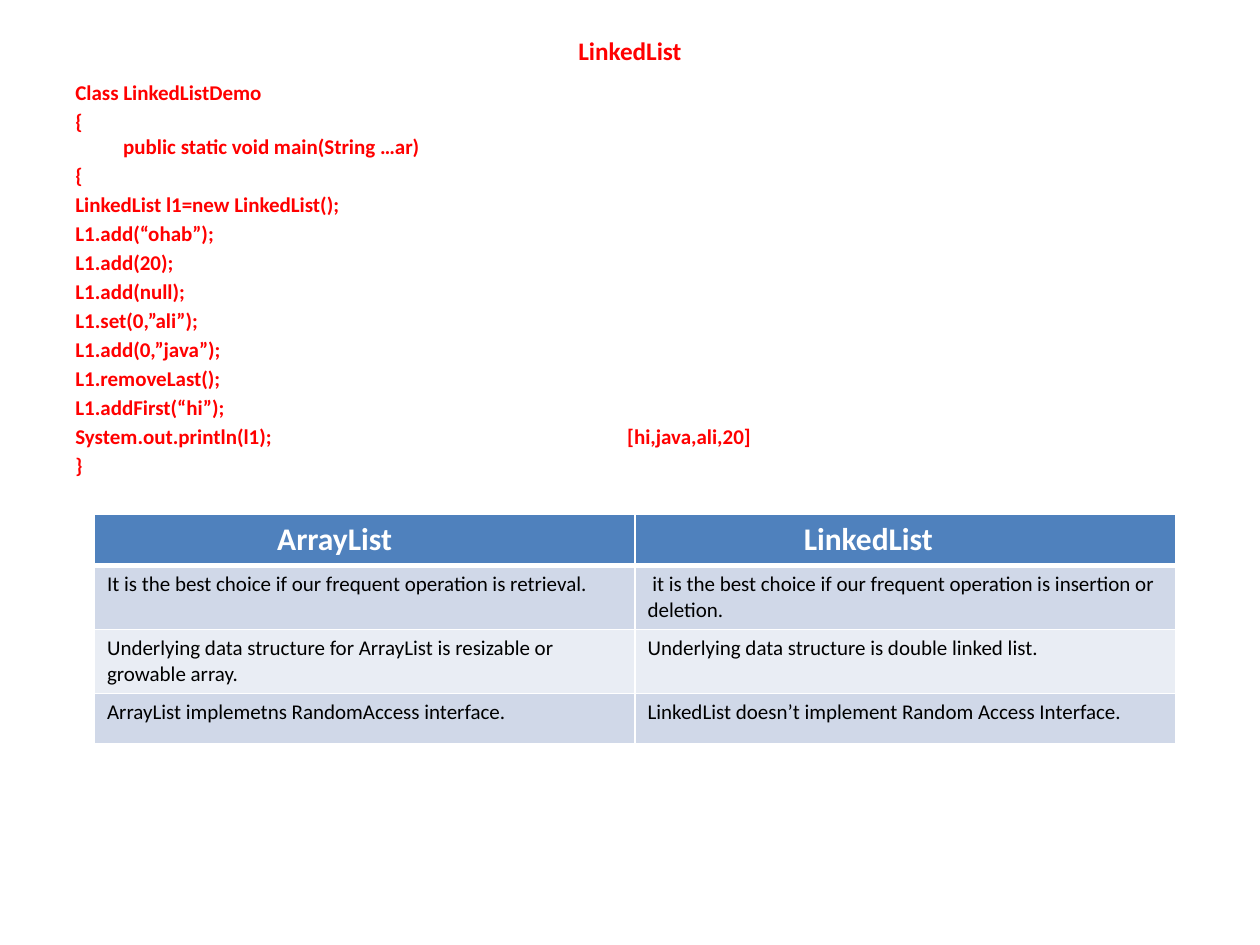
from dataclasses import dataclass

from lxml import etree
from pptx import Presentation, util as u
from pptx.dml.color import RGBColor
from pptx.enum import text
from pptx.oxml.ns import qn


@dataclass(frozen=True)
class Theme:
    """Colours, type sizes and font of the slide."""
    font: str = "Calibri"
    red: str = "FF0000"
    black: str = "000000"
    white: str = "FFFFFF"
    head: str = "4F81BD"
    bands: tuple = ("D0D8E8", "E9EDF4")
    title: float = 14.4
    body: float = 12
    label: float = 18


def apply(item, **values):
    """Set each named value on an object."""
    for name, value in values.items():
        setattr(item, name, value)


class Deck:
    """Holds the theme and the current slide."""

    def __init__(self, theme):
        """Start a file with one title-only slide."""
        self.theme = theme
        self.file = Presentation()
        apply(self.file, slide_width=u.Inches(10), slide_height=u.Inches(7.5))
        self.slide = self.file.slides.add_slide(self.file.slide_layouts[5])

    def style(self, para, size, color, bold):
        """Format every run of a paragraph."""
        for run in para.runs:
            apply(run.font, name=self.theme.font, size=u.Pt(size), bold=bold)
            run.font.color.rgb = RGBColor.from_string(color)

    def title(self, words, box):
        """Fill and place the title."""
        shape = self.slide.shapes.title
        left, top, width, height = map(u.Inches, box)
        apply(shape, left=left, top=top, width=width, height=height)
        frame = shape.text_frame
        frame.text = words
        apply(frame, auto_size=text.MSO_AUTO_SIZE.NONE,
              vertical_anchor=text.MSO_ANCHOR.MIDDLE)
        para = frame.paragraphs[0]
        para.alignment = text.PP_ALIGN.CENTER
        self.style(para, self.theme.title, self.theme.red, True)

    def code(self, lines, box, hang, stop):
        """Add code lines; a tab in a line leads to the given stop."""
        frame = self.slide.shapes.add_textbox(*map(u.Inches, box)).text_frame
        apply(frame, word_wrap=True, auto_size=text.MSO_AUTO_SIZE.NONE)
        for index, line in enumerate(lines):
            para = frame.add_paragraph() if index else frame.paragraphs[0]
            para.text = line
            para.space_before = u.Pt(2.15)
            self.style(para, self.theme.body, self.theme.red, True)
            props = para._p.get_or_add_pPr()
            if "\t" in line:
                tabs = etree.SubElement(props, qn("a:tabLst"))
                etree.SubElement(tabs, qn("a:tab"),
                                 pos=str(u.Inches(stop)), algn="l")
            else:
                props.set("marL", str(u.Inches(hang)))
                props.set("indent", str(-u.Inches(hang)))

    def border(self, cell, bottom):
        """Draw white cell borders, with the bottom width in points."""
        props = cell._tc.get_or_add_tcPr()
        for spot, side in enumerate("LRTB"):
            width = bottom if side == "B" else 1
            line = etree.Element(qn("a:ln" + side), w=str(u.Pt(width)))
            fill = etree.SubElement(line, qn("a:solidFill"))
            etree.SubElement(fill, qn("a:srgbClr"), val=self.theme.white)
            props.insert(spot, line)

    def table(self, rows, box, heights, insets):
        """Add a table with a dark head and banded rows."""
        look = self.theme
        grid = self.slide.shapes.add_table(
            len(rows), len(rows[0]), *map(u.Inches, box)).table
        for r, row in enumerate(rows):
            grid.rows[r].height = u.Inches(heights[r])
            for c, words in enumerate(row):
                cell = grid.cell(r, c)
                cell.text = words
                cell.fill.solid()
                shade = look.bands[(r - 1) % 2] if r else look.head
                cell.fill.fore_color.rgb = RGBColor.from_string(shade)
                para = cell.text_frame.paragraphs[0]
                if r:
                    self.style(para, look.body, look.black, False)
                else:
                    cell.margin_left = u.Inches(insets[c])
                    self.style(para, look.label, look.white, True)
                self.border(cell, 1 if r else 3)


CODE = [
    "Class LinkedListDemo",
    "{\vpublic static void main(String …ar)",
    "{",
    "LinkedList l1=new LinkedList();",
    "L1.add(“ohab”);",
    "L1.add(20);",
    "L1.add(null);",
    "L1.set(0,”ali”);",
    "L1.add(0,”java”);",
    "L1.removeLast();",
    "L1.addFirst(“hi”);",
    "System.out.println(l1);\t[hi,java,ali,20]",
    "}",
]
ROWS = [
    ("ArrayList", "LinkedList"),
    ("It is the best choice if our frequent operation is retrieval.",
     " it is the best choice if our frequent operation is insertion or "
     "deletion."),
    ("Underlying data structure for ArrayList is resizable or growable array.",
     "Underlying data structure is double linked list."),
    ("ArrayList implemetns RandomAccess interface.",
     "LinkedList doesn’t implement Random Access Interface."),
]

deck = Deck(Theme())
deck.title("LinkedList", (0.5, 0.3, 9, 0.2))
deck.code(CODE, (0.5, 0.58, 9, 6.5), hang=0.38, stop=4.38)
deck.table(ROWS, (0.75, 4.08, 8.58, 1.81), heights=(0.41, 0.5, 0.5, 0.4),
           insets=(1.45, 1.34))
deck.file.save("out.pptx")
